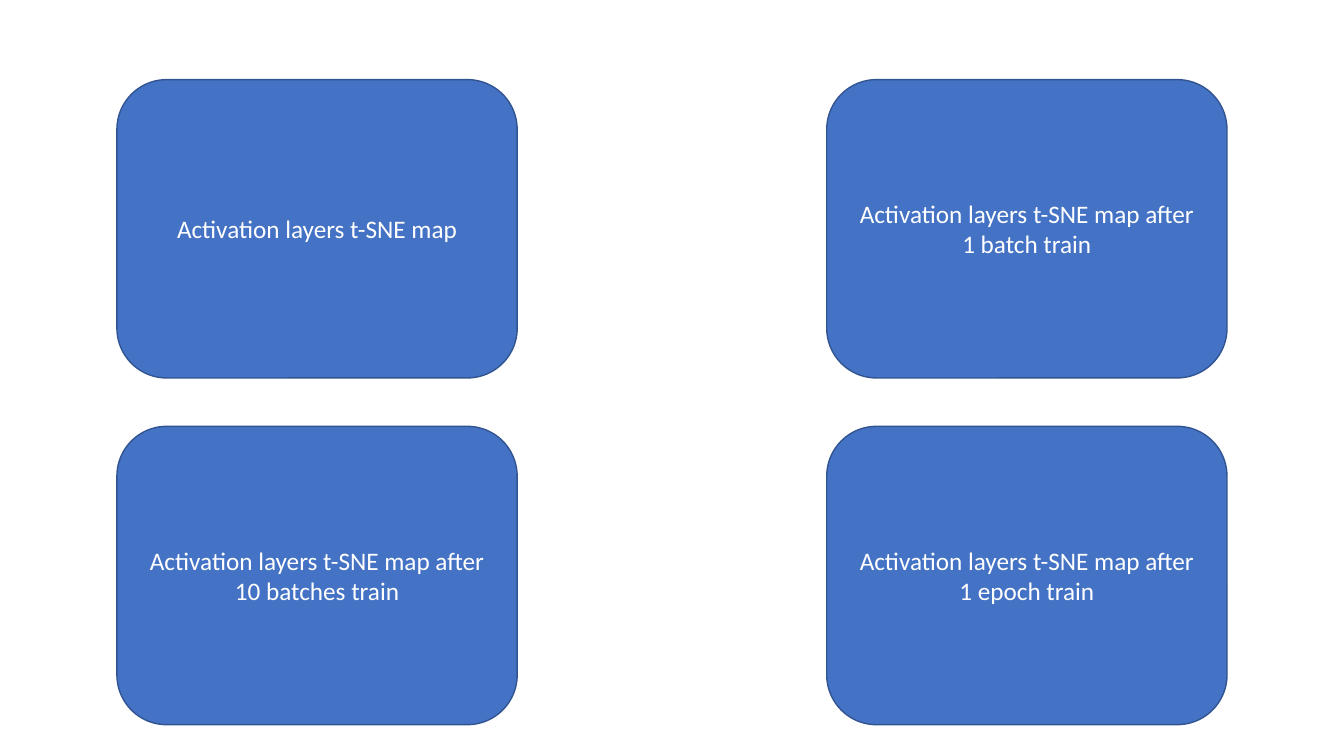
from pptx import Presentation
from pptx.dml.color import RGBColor
from pptx.enum.shapes import MSO_SHAPE
from pptx.enum.text import MSO_ANCHOR, PP_ALIGN
from pptx.util import Inches, Pt


def color(value):
    return RGBColor.from_string(value)


def add_text(sp, text, size=18, font="Calibri", fill="FFFFFF"):
    tf = sp.text_frame
    tf.word_wrap = True
    tf.vertical_anchor = MSO_ANCHOR.MIDDLE
    p = tf.paragraphs[0]
    p.alignment = PP_ALIGN.CENTER
    r = p.add_run()
    r.text = text
    r.font.size = Pt(size)
    r.font.name = font
    r.font.color.rgb = color(fill)


prs = Presentation()
prs.slide_width = Inches(13.33)
prs.slide_height = Inches(7.5)
s = prs.slides.add_slide(prs.slide_layouts[6])

# Training stages in a two-by-two grid
stages = [
    "Activation layers t-SNE map",
    "Activation layers t-SNE map after 1 batch train",
    "Activation layers t-SNE map after 10 batches train",
    "Activation layers t-SNE map after 1 epoch train",
]
for i, stage in enumerate(stages):
    row, col = divmod(i, 2)
    sp = s.shapes.add_shape(
        MSO_SHAPE.ROUNDED_RECTANGLE,
        Inches(1.16 + col * 7.04), Inches(0.79 + row * 3.44),
        Inches(3.97), Inches(2.96))
    sp.shadow.inherit = False
    sp.fill.solid()
    sp.fill.fore_color.rgb = color("4472C4")
    sp.line.color.rgb = color("325491")
    sp.line.width = Pt(1)
    add_text(sp, stage)

prs.save("out.pptx")
